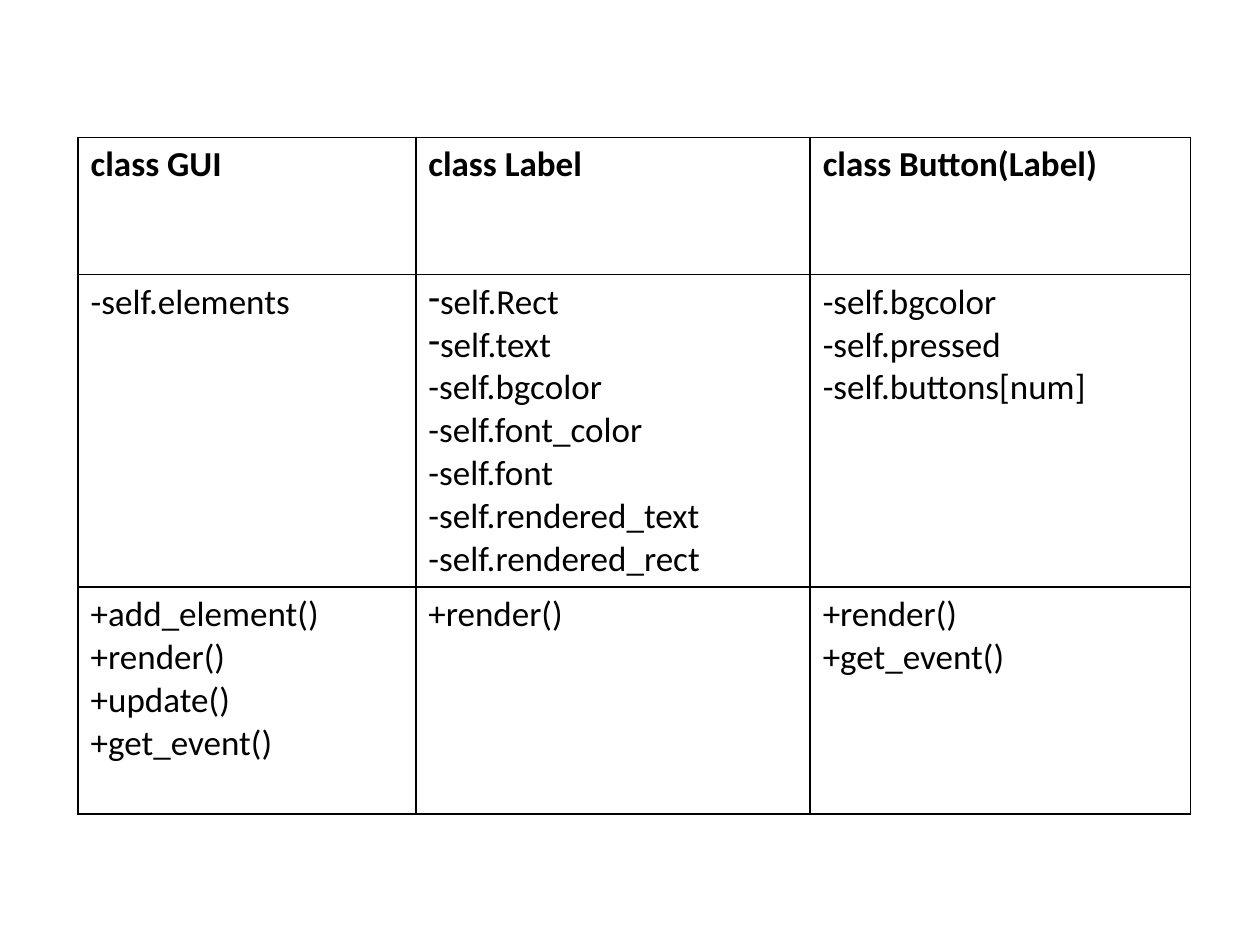
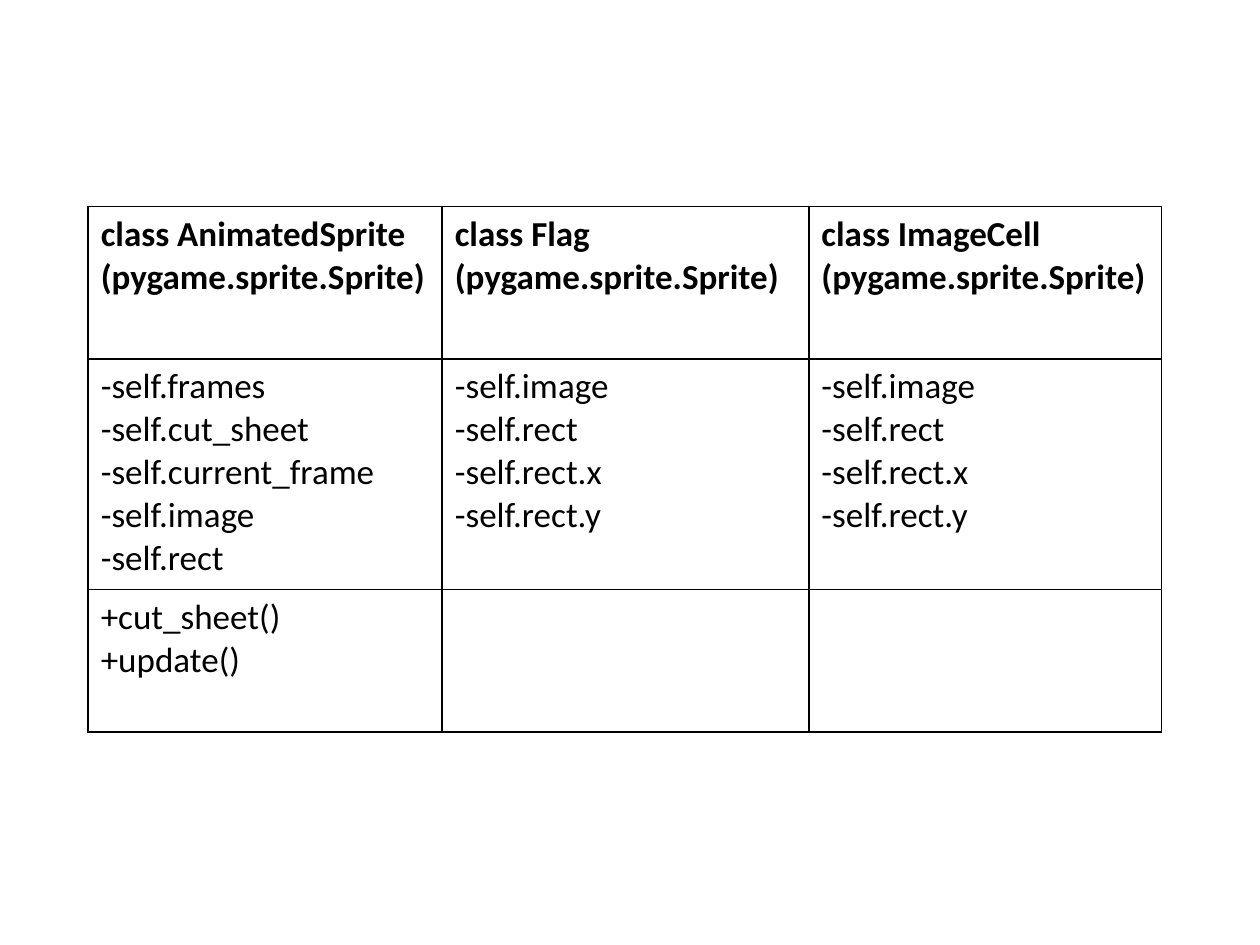
import dataclasses

import lxml.etree
import pptx
import pptx.dml.color
import pptx.oxml.ns
import pptx.util


@dataclasses.dataclass(frozen=True)
class Theme:
    font: str = "Calibri"
    size: int = 20
    ink: str = "000000"
    paper: str = "FFFFFF"
    border: int = 1


class Deck:
    def __init__(self, theme):
        self.theme = theme
        self.prs = pptx.Presentation()
        self.prs.slide_width = pptx.util.Inches(10)
        self.prs.slide_height = pptx.util.Inches(7.5)
        self.s = None

    def x(self, percent):
        return round(self.prs.slide_width * percent / 100)

    def y(self, percent):
        return round(self.prs.slide_height * percent / 100)

    def color(self, value):
        return pptx.dml.color.RGBColor.from_string(value)

    def add(self, parent, tag, **attributes):
        return lxml.etree.SubElement(parent, pptx.oxml.ns.qn(tag), attributes)

    def slide(self):
        self.s = self.prs.slides.add_slide(self.prs.slide_layouts[6])
        fill = self.s.background.fill
        fill.solid()
        fill.fore_color.rgb = self.color(self.theme.paper)

    def borders(self, cell):
        tc_pr = cell._tc.get_or_add_tcPr()
        width = str(pptx.util.Pt(self.theme.border))
        for side in "LRTB":
            ln = self.add(tc_pr, f"a:ln{side}", w=width)
            self.add(self.add(ln, "a:solidFill"), "a:srgbClr", val=self.theme.ink)

    def dash_bullet(self, p):
        p_pr = p._p.get_or_add_pPr()
        p_pr.set("marL", "0")
        p_pr.set("indent", "0")
        self.add(p_pr, "a:buFontTx")
        self.add(p_pr, "a:buChar", char="-")

    def cell(self, cell, lines, bold, bullets):
        self.borders(cell)
        cell.fill.background()
        tf = cell.text_frame
        tf.text = "\n".join(lines)
        for p in tf.paragraphs:
            if p.text in bullets:
                self.dash_bullet(p)
            for r in p.runs:
                r.font.name = self.theme.font
                r.font.size = pptx.util.Pt(self.theme.size)
                r.font.bold = bold
                r.font.color.rgb = self.color(self.theme.ink)

    def class_table(self, left, top, widths, heights, classes, bullets=()):
        sp = self.s.shapes.add_table(
            len(heights), len(widths), self.x(left), self.y(top),
            self.x(sum(widths)), self.y(sum(heights)))
        table = sp.table
        table.first_row = False
        table.horz_banding = False
        for row, height in zip(table.rows, heights):
            row.height = self.y(height)
        for j, (width, sections) in enumerate(zip(widths, classes)):
            table.columns[j].width = self.x(width)
            for i, lines in enumerate(sections):
                self.cell(table.cell(i, j), lines, i == 0, bullets)

    def save(self):
        self.prs.save("out.pptx")


def fields(*names):
    return [f"-self.{name}" for name in names]


def methods(*names):
    return [f"+{name}()" for name in names]


SPRITE = "(pygame.sprite.Sprite)"
LABEL_BULLETS = ["self.Rect", "self.text"]
GUI_CLASSES = [
    (["class GUI"], fields("elements"),
     methods("add_element", "render", "update", "get_event")),
    (["class Label"],
     LABEL_BULLETS + fields("bgcolor", "font_color", "font",
                            "rendered_text", "rendered_rect"),
     methods("render")),
    (["class Button(Label)"], fields("bgcolor", "pressed", "buttons[num]"),
     methods("render", "get_event")),
]
CELL_FIELDS = fields("image", "rect", "rect.x", "rect.y")
SPRITE_CLASSES = [
    (["class AnimatedSprite", SPRITE],
     fields("frames", "cut_sheet", "current_frame", "image", "rect"),
     methods("cut_sheet", "update")),
    (["class Flag", SPRITE], CELL_FIELDS, []),
    (["class ImageCell", SPRITE], CELL_FIELDS, []),
]

deck = Deck(Theme())

deck.slide()
deck.class_table(6.2, 14.53, [26.8, 31.3, 30.2], [14.53, 33.07, 24],
                 GUI_CLASSES, LABEL_BULLETS)

deck.slide()
deck.class_table(7, 21.87, [28.1, 29.1, 28], [16.13, 24.4, 15.07],
                 SPRITE_CLASSES)

deck.save()
